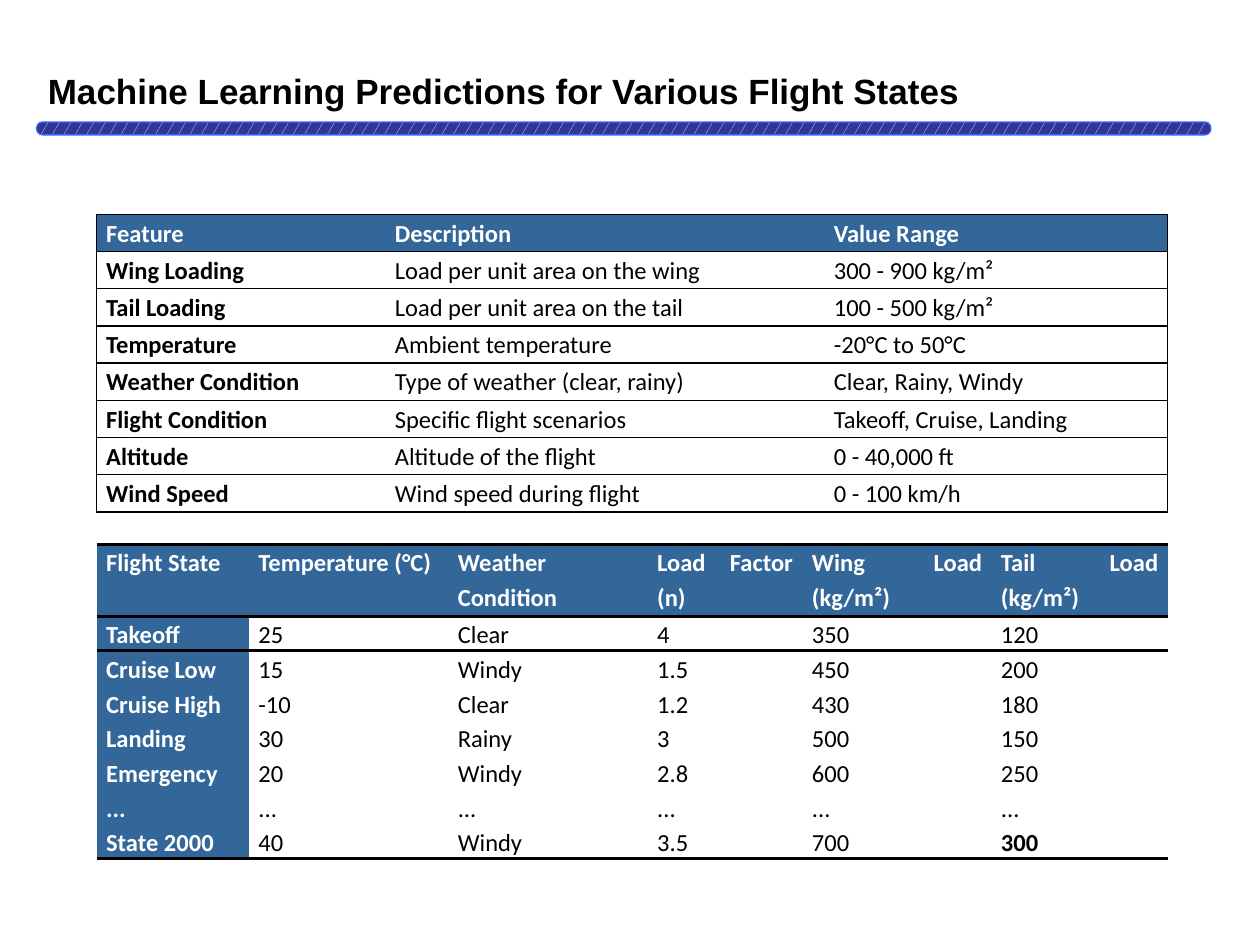
import dataclasses

import lxml.etree
import pptx
import pptx.dml.color
import pptx.enum.dml
import pptx.enum.shapes
import pptx.enum.text
import pptx.oxml.ns
import pptx.util

Cm, Pt = pptx.util.Cm, pptx.util.Pt
BLUE, WHITE, BLACK = "336699", "FFFFFF", "000000"
NO_GRID_STYLE = "{2D5ABB26-0587-4C30-8999-92F81FD0307C}"


@dataclasses.dataclass
class TableSpec:
    rows: list[tuple[str, ...]]
    left: float
    top: float
    column_widths: list[float]
    header_height: float
    row_height: float
    blue_first_column: bool
    ruled: bool  # thin box and rules; otherwise heavy header and bottom rules
    bold_cells: tuple[tuple[int, int], ...] = ()


FEATURES = TableSpec(
    rows=[
        ("Feature", "Description", "Value Range"),
        ("Wing Loading", "Load per unit area on the wing", "300 - 900 kg/m²"),
        ("Tail Loading", "Load per unit area on the tail", "100 - 500 kg/m²"),
        ("Temperature", "Ambient temperature", "-20°C to 50°C"),
        ("Weather Condition", "Type of weather (clear, rainy)", "Clear, Rainy, Windy"),
        ("Flight Condition", "Specific flight scenarios", "Takeoff, Cruise, Landing"),
        ("Altitude", "Altitude of the flight", "0 - 40,000 ft"),
        ("Wind Speed", "Wind speed during flight", "0 - 100 km/h"),
    ],
    left=1.95, top=4.32, column_widths=[5.82, 8.85, 6.92],
    header_height=0.75, row_height=0.75, blue_first_column=False, ruled=True,
)

FLIGHT_STATES = TableSpec(
    rows=[
        ("Flight State", "Temperature (°C)", "Weather Condition",
         "Load Factor (n)", "Wing Load (kg/m²)", "Tail Load (kg/m²)"),
        ("Takeoff", "25", "Clear", "4", "350", "120"),
        ("Cruise Low", "15", "Windy", "1.5", "450", "200"),
        ("Cruise High", "-10", "Clear", "1.2", "430", "180"),
        ("Landing", "30", "Rainy", "3", "500", "150"),
        ("Emergency", "20", "Windy", "2.8", "600", "250"),
        ("...",) * 6,
        ("State 2000", "40", "Windy", "3.5", "700", "300"),
    ],
    left=1.95, top=10.97, column_widths=[3.07, 4.02, 4.02, 3.12, 3.81, 3.55],
    header_height=1.45, row_height=0.7, blue_first_column=True, ruled=False,
    bold_cells=((7, 5),),
)


def rgb(value: str) -> pptx.dml.color.RGBColor:
    return pptx.dml.color.RGBColor.from_string(value)


def set_attributes(target, values: dict) -> None:
    for name, value in values.items():
        setattr(target, name, value)


def set_font(font, name: str, size: int, color: str, bold: bool) -> None:
    set_attributes(font, {"name": name, "size": Pt(size), "bold": bold})
    font.color.rgb = rgb(color)


def set_borders(cell, widths: dict[str, float]) -> None:
    """Put border lines, keyed by L, R, T, B in that order, ahead of the fill."""
    qn = pptx.oxml.ns.qn
    properties = cell._tc.get_or_add_tcPr()
    for index, (side, width) in enumerate(widths.items()):
        line = lxml.etree.Element(qn(f"a:ln{side}"), w=str(Pt(width)))
        fill = lxml.etree.SubElement(line, qn("a:solidFill"))
        lxml.etree.SubElement(fill, qn("a:srgbClr"), val=BLACK)
        properties.insert(index, line)


def border_widths(spec: TableSpec, row: int, column: int) -> dict[str, float]:
    last_row, last_column = len(spec.rows) - 1, len(spec.column_widths) - 1
    weight = 1 if spec.ruled else 2
    shown = {
        "L": spec.ruled and column == 0,
        "R": spec.ruled and column == last_column,
        "T": spec.ruled or row <= 1,
        "B": spec.ruled or row in (0, last_row),
    }
    return {side: weight for side, visible in shown.items() if visible}


def add_grid(slide, spec: TableSpec) -> None:
    heights = [spec.header_height] + [spec.row_height] * (len(spec.rows) - 1)
    frame = slide.shapes.add_table(
        len(spec.rows), len(spec.column_widths), Cm(spec.left), Cm(spec.top),
        Cm(sum(spec.column_widths)), Cm(sum(heights)))
    table = frame.table
    table._tbl.tblPr.find(pptx.oxml.ns.qn("a:tableStyleId")).text = NO_GRID_STYLE
    set_attributes(table, {"first_row": False, "horz_banding": False})
    for column, width in zip(table.columns, spec.column_widths):
        column.width = Cm(width)
    for row, height in zip(table.rows, heights):
        row.height = Cm(height)

    for r, texts in enumerate(spec.rows):
        for c, text in enumerate(texts):
            cell = table.cell(r, c)
            blue = r == 0 or (c == 0 and spec.blue_first_column)
            bold = r == 0 or c == 0 or (r, c) in spec.bold_cells
            set_attributes(cell, {
                "text": text, "margin_left": Cm(0.19), "margin_right": Cm(0.19),
                "margin_top": 0, "margin_bottom": 0})
            paragraph = cell.text_frame.paragraphs[0]
            set_attributes(paragraph, {
                "alignment": pptx.enum.text.PP_ALIGN.JUSTIFY,
                "line_spacing": 1.15, "space_after": Pt(8)})
            set_font(paragraph.runs[0].font, "Calibri", 14,
                     WHITE if blue else BLACK, bold)
            cell.fill.solid()
            cell.fill.fore_color.rgb = rgb(BLUE if blue else WHITE)
            set_borders(cell, border_widths(spec, r, c))


def add_title(slide, text: str) -> None:
    title = slide.shapes.title
    set_attributes(title, {"left": Cm(0.71), "top": Cm(1.27),
                           "width": Cm(23.62), "height": Cm(1.11)})
    set_attributes(title.text_frame, {
        "text": text, "word_wrap": True,
        "auto_size": pptx.enum.text.MSO_AUTO_SIZE.SHAPE_TO_FIT_TEXT,
        "vertical_anchor": pptx.enum.text.MSO_ANCHOR.MIDDLE})
    paragraph = title.text_frame.paragraphs[0]
    paragraph.alignment = pptx.enum.text.PP_ALIGN.LEFT
    set_font(paragraph.runs[0].font, "Arial", 20, BLACK, True)


def add_divider(slide) -> None:
    divider = slide.shapes.add_shape(
        pptx.enum.shapes.MSO_SHAPE.ROUNDED_RECTANGLE,
        Cm(0.74), Cm(2.46), Cm(23.67), Cm(0.26))
    divider.adjustments[0] = 0.46
    divider.shadow.inherit = False
    divider.fill.patterned()
    divider.fill.pattern = pptx.enum.dml.MSO_PATTERN.SMALL_CONFETTI
    divider.fill.fore_color.rgb = rgb(WHITE)
    divider.fill.back_color.rgb = rgb("333399")
    divider.line.color.rgb = rgb("3366FF")
    divider.line.width = Pt(0.75)


def main() -> None:
    deck = pptx.Presentation()
    set_attributes(deck, {"slide_width": Cm(25.4), "slide_height": Cm(19.05)})
    slide = deck.slides.add_slide(deck.slide_layouts.get_by_name("Title Only"))

    # Heading
    add_title(slide, "Machine Learning Predictions for Various Flight States")
    add_divider(slide)

    # Model inputs, then predictions by flight state
    for spec in (FEATURES, FLIGHT_STATES):
        add_grid(slide, spec)

    deck.save("out.pptx")


if __name__ == "__main__":
    main()
